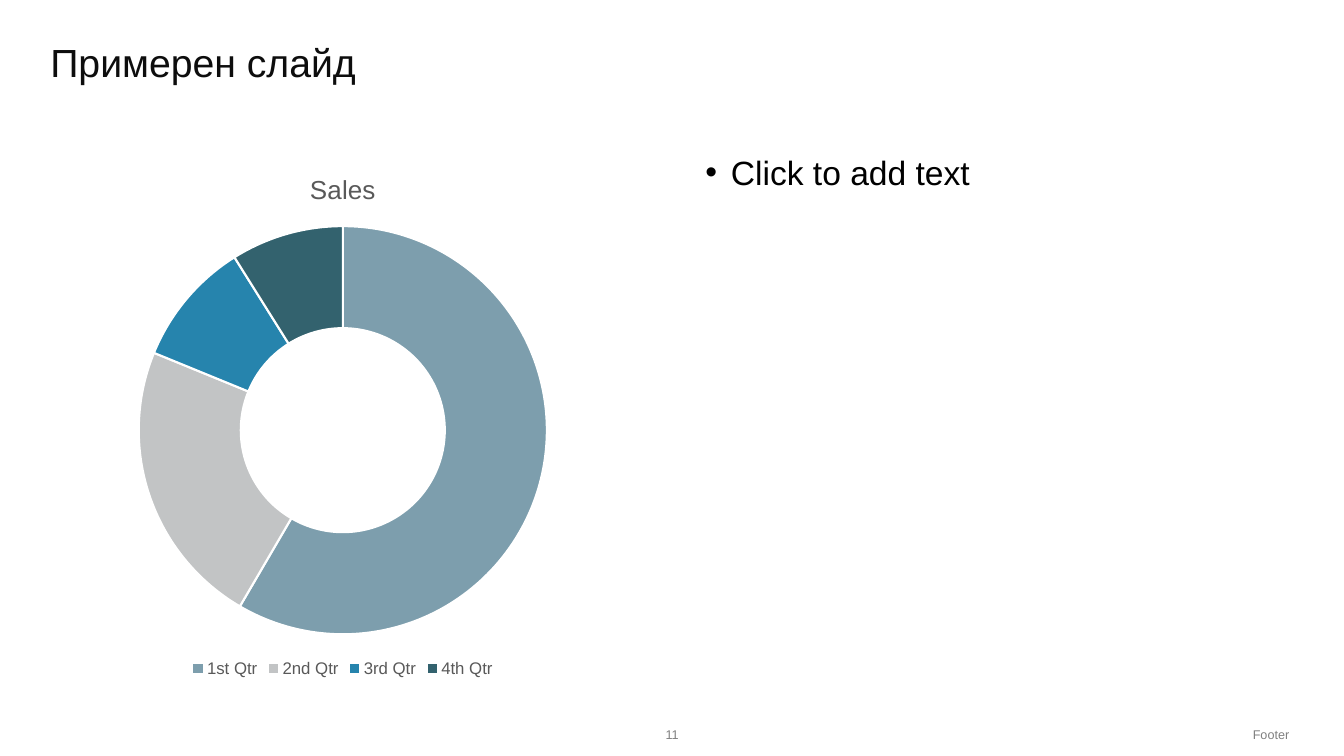
from dataclasses import dataclass

from lxml import etree
from pptx import Presentation, util as u
from pptx.chart import data as cd
from pptx.dml.color import RGBColor
from pptx.enum import chart as ch, text as tx
from pptx.oxml import ns


@dataclass(frozen=True)
class Theme:
    font: str = "Arial"
    white: str = "FFFFFF"
    black: str = "000000"
    head: str = "0D0D0D"
    soft: str = "595959"
    pale: str = "808080"
    rings: tuple[str, ...] = ("7D9EAD", "C2C4C5", "2684AD", "33626E")
    title: float = 28
    body: float = 24
    label: float = 18.6
    key: float = 12
    base: float = 10
    foot: float = 9


@dataclass(frozen=True)
class Box:
    left: float
    top: float
    width: float
    height: float

    def place(self) -> list[u.Length]:
        return [u.Cm(n) for n in (self.left, self.top, self.width, self.height)]


@dataclass(frozen=True)
class Note:
    words: str
    box: Box
    size: float
    color: str
    align: tx.PP_ALIGN = tx.PP_ALIGN.LEFT
    anchor: tx.MSO_ANCHOR = tx.MSO_ANCHOR.MIDDLE
    pitch: float = 1.0
    bullet: bool = False


THEME = Theme()
EDGE, TOP, WIDE, HIGH = 1.02, 3.81, 15.24, 13.36
FOOT, LOW = 18.01, 1.02

LEFT = Box(EDGE, TOP, WIDE, HIGH)
RIGHT = Box(17.53, TOP, WIDE, HIGH)

NOTES = (
    Note("Примерен слайд", Box(EDGE, 0.51, 28.02, 2.24), THEME.title,
         THEME.head, pitch=0.9),
    Note("Click to add text", RIGHT, THEME.body, THEME.black,
         anchor=tx.MSO_ANCHOR.TOP, pitch=0.9, bullet=True),
    Note("11", Box(13.13, FOOT, 7.62, LOW), THEME.foot, THEME.pale,
         align=tx.PP_ALIGN.CENTER),
    Note("Footer", Box(21.31, FOOT, 11.43, LOW), THEME.foot, THEME.pale,
         align=tx.PP_ALIGN.RIGHT),
)

SALES = {"1st Qtr": 59, "2nd Qtr": 23, "3rd Qtr": 10, "4th Qtr": 9}


def style(font, size: float, color: str) -> None:
    font.name = THEME.font
    font.size = u.Pt(size)
    font.bold = False
    font.color.rgb = RGBColor.from_string(color)


def add_dot(para) -> None:
    para.space_before = u.Pt(10)
    props = para._p.get_or_add_pPr()
    props.set("marL", str(u.Cm(0.64)))
    props.set("indent", str(u.Cm(-0.64)))
    etree.SubElement(props, ns.qn("a:buFont"), typeface=THEME.font)
    etree.SubElement(props, ns.qn("a:buChar"), char="•")


def add_note(slide, note: Note) -> None:
    frame = slide.shapes.add_textbox(*note.box.place()).text_frame
    frame.word_wrap = True
    frame.vertical_anchor = note.anchor
    para = frame.paragraphs[0]
    para.alignment = note.align
    para.line_spacing = note.pitch
    if note.bullet:
        add_dot(para)
    run = para.add_run()
    run.text = note.words
    style(run.font, note.size, note.color)


def add_ring(slide, name: str, sales: dict[str, int], box: Box) -> None:
    data = cd.CategoryChartData()
    data.categories = list(sales)
    data.add_series(name, list(sales.values()))
    chart = slide.shapes.add_chart(
        ch.XL_CHART_TYPE.DOUGHNUT, *box.place(), data).chart
    style(chart.font, THEME.base, THEME.black)

    # Title and legend
    chart.has_title = True
    run = chart.chart_title.text_frame.paragraphs[0].add_run()
    run.text = name
    style(run.font, THEME.label, THEME.soft)
    chart.has_legend = True
    chart.legend.position = ch.XL_LEGEND_POSITION.BOTTOM
    chart.legend.include_in_layout = False
    style(chart.legend.font, THEME.key, THEME.soft)

    # Ring segments
    plot = chart.plots[0]
    plot.vary_by_categories = True
    plot._element.find(ns.qn("c:holeSize")).set("val", "65")
    for index, color in enumerate(THEME.rings):
        form = plot.series[0].points[index].format
        form.fill.solid()
        form.fill.fore_color.rgb = RGBColor.from_string(color)
        form.line.color.rgb = RGBColor.from_string(THEME.white)
        form.line.width = u.Pt(1.5)


def main() -> None:
    deck = Presentation()
    deck.slide_width, deck.slide_height = u.Cm(33.87), u.Cm(19.05)
    slide = deck.slides.add_slide(deck.slide_layouts[6])

    # Chart on the left
    add_ring(slide, "Sales", SALES, LEFT)

    # Title, body and footer
    for note in NOTES:
        add_note(slide, note)

    deck.save("out.pptx")


main()
